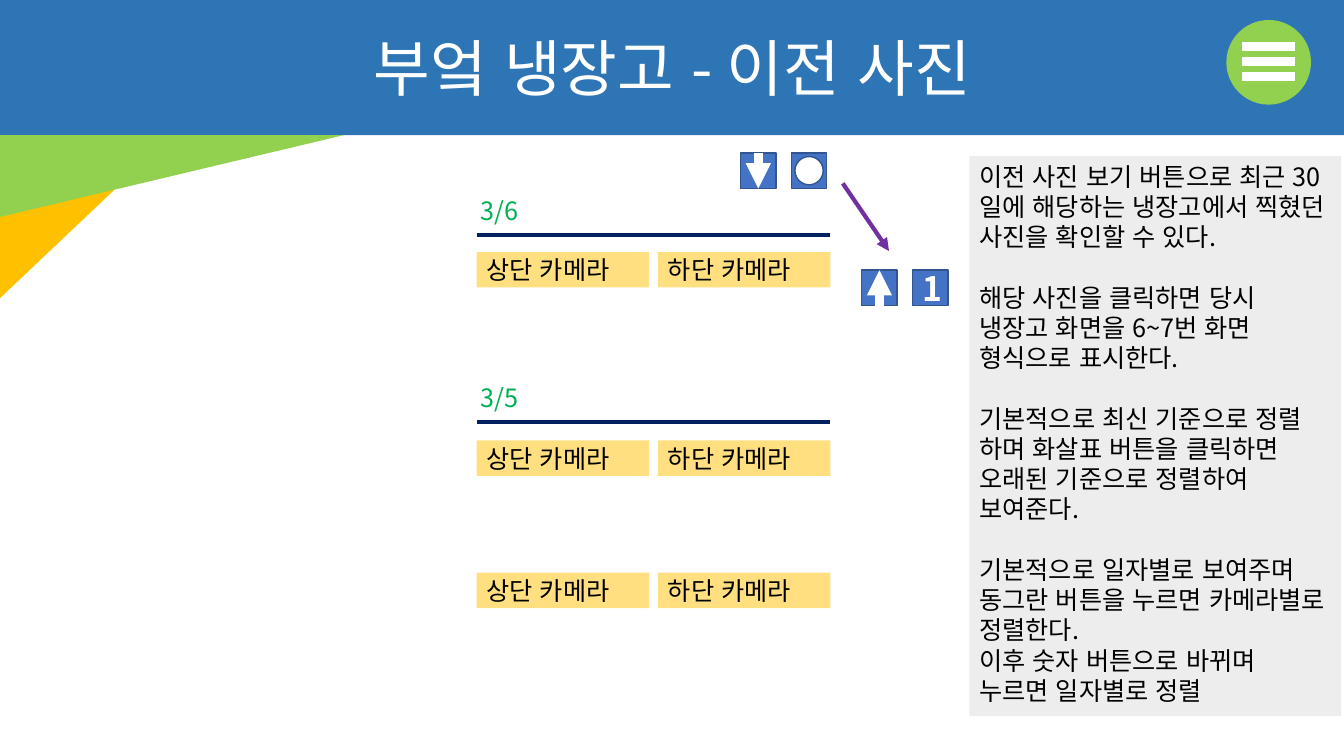
from lxml import etree
from pptx import Presentation
from pptx.dml.color import RGBColor
from pptx.enum.lang import MSO_LANGUAGE_ID
from pptx.enum.shapes import MSO_CONNECTOR, MSO_SHAPE
from pptx.enum.text import MSO_ANCHOR, PP_ALIGN
from pptx.oxml.ns import qn
from pptx.util import Pt

RECT, OVAL = MSO_SHAPE.RECTANGLE, MSO_SHAPE.OVAL
TRIANGLE, MINUS = MSO_SHAPE.RIGHT_TRIANGLE, MSO_SHAPE.MATH_MINUS
STRAIGHT = MSO_CONNECTOR.STRAIGHT
LEFT, CENTER = PP_ALIGN.LEFT, PP_ALIGN.CENTER
TOP, MIDDLE = MSO_ANCHOR.TOP, MSO_ANCHOR.MIDDLE
KOREAN = MSO_LANGUAGE_ID.KOREAN
TOP_SIDE, BOTTOM_SIDE = 0, 2

THEME = {
    "font": "Noto Sans CJK KR", "leading": 1.2,
    "title": 44, "body": 18, "digit": 24,
    "banner": "2E75B6", "orange": "FFC000", "green": "92D050",
    "white": "FFFFFF", "black": "000000", "panel": "EDEDED",
    "rule": "002060", "date": "00B050", "arrow": "7030A0",
    "button": "4472C4", "button_edge": "325491",
}

TITLE = "부엌 냉장고 - 이전 사진"
NOTES = [
    ["이전 사진 보기 버튼으로 최근 30일에 해당하는 냉장고에서 찍혔던 사진을 확인할 수 있다."],
    ["해당 사진을 클릭하면 당시 냉장고 화면을 6~7번 화면 형식으로 표시한다."],
    ["기본적으로 최신 기준으로 정렬 하며 화살표 버튼을 클릭하면 오래된 기준으로 정렬하여 보여준다."],
    ["기본적으로 일자별로 보여주며 동그란 버튼을 누르면 카메라별로 정렬한다.",
     "이후 숫자 버튼으로 바뀌며 누르면 일자별로 정렬"],
]
DATES = [("3/6", 167.6), ("3/5", 301.2)]
CAMERAS = ["상단 카메라", "하단 카메라"]
CAMERA_TOPS = [180, 314.6, 409]

LIST_LEFT, LIST_RIGHT = 340.5, 593.2
CAMERA_WIDTH, CAMERA_HEIGHT = 123.2, 25.3
CAMERA_STEP = LIST_RIGHT - LIST_LEFT - CAMERA_WIDTH
BUTTON, BUTTON_STEP = 25.4, 36.2
SORT_LEFT, SORT_TOP = 529, 109.2
RESULT_LEFT, RESULT_TOP = 615.5, 193


def color(name):
    return RGBColor.from_string(THEME[name])


def add_shape(page, kind, frame, fill, edge=None, alpha=None, flip=False):
    shape = page.shapes.add_shape(kind, *map(Pt, frame))
    shape.shadow.inherit = False
    shape.fill.solid()
    shape.fill.fore_color.rgb = color(fill)
    if alpha:
        tint = shape.fill._xPr.find(".//" + qn("a:srgbClr"))
        etree.SubElement(tint, qn("a:alpha"), val=str(alpha * 1000))
    if edge:
        shape.line.color.rgb = color(edge)
        shape.line.width = Pt(1)
    else:
        shape.line.fill.background()
    if flip:
        shape._element.spPr.find(qn("a:xfrm")).set("flipV", "1")
    return shape


def add_line(page, start, end, ink, width, head=False):
    line = page.shapes.add_connector(STRAIGHT, *map(Pt, (*start, *end)))
    line.line.color.rgb = color(ink)
    line.line.width = Pt(width)
    if head:
        etree.SubElement(line.line._get_or_add_ln(), qn("a:tailEnd"), type="triangle")
    etree.SubElement(line._element.spPr, qn("a:effectLst"))
    return line


def write(box, groups, size, ink, align=LEFT, anchor=TOP, bold=False):
    frame = box.text_frame
    frame.word_wrap = True
    frame.vertical_anchor = anchor
    leading = Pt(round(THEME[size] * THEME["leading"], 2))
    look = {"size": Pt(THEME[size]), "name": THEME["font"],
            "bold": bold, "language_id": KOREAN}
    para = None
    for group in groups:
        for index, text in enumerate(group):
            first = para is None
            para = frame.paragraphs[0] if first else frame.add_paragraph()
            para.alignment = align
            para.line_spacing = leading
            para.space_before = leading if index == 0 and not first else Pt(0)
            span = para.add_run()
            span.text = text
            for key, value in look.items():
                setattr(span.font, key, value)
            span.font.color.rgb = color(ink)
            latin = span.font._element.find(qn("a:latin"))
            east = etree.Element(qn("a:ea"), typeface=THEME["font"])
            latin.addnext(east)


def add_label(page, frame, text, size, ink, align=LEFT):
    box = page.shapes.add_textbox(*map(Pt, frame))
    write(box, [[text]], size, ink, align)


def add_button(page, left, top):
    return add_shape(page, RECT, (left, top, BUTTON, BUTTON), "button", "button_edge")


def add_arrow_button(page, left, top, begin, end):
    button = add_button(page, left, top)
    arrow = add_line(page, (left, top), (left, top + BUTTON), "white", 6, head=True)
    arrow.begin_connect(button, begin)
    arrow.end_connect(button, end)


def add_header(page):
    add_shape(page, RECT, (0, 0, 960, 96.5), "banner")
    add_shape(page, TRIANGLE, (0, 96.5, 123, 116.5), "orange", flip=True)
    add_shape(page, TRIANGLE, (0, 96.5, 246, 58.5), "green", flip=True)
    add_label(page, (229, 18, 502.5, 60.5), TITLE, "title", "white", CENTER)
    add_shape(page, OVAL, (876, 14.3, 60.5, 60.5), "green")
    for row in range(3):
        add_shape(page, MINUS, (880.6, 18.8 + row * 10.8, 51.3, 28.8), "white")


def add_photo_list(page):
    for date, top in DATES:
        add_line(page, (LIST_LEFT, top), (LIST_RIGHT, top), "rule", 3)
        add_label(page, (336.2, top - 32, 57.6, 29), date, "body", "date")
    for top in CAMERA_TOPS:
        for column, camera in enumerate(CAMERAS):
            frame = (LIST_LEFT + column * CAMERA_STEP, top, CAMERA_WIDTH, CAMERA_HEIGHT)
            box = add_shape(page, RECT, frame, "orange", alpha=50)
            write(box, [[camera]], "body", "black", anchor=MIDDLE)


def add_buttons(page):
    add_arrow_button(page, SORT_LEFT, SORT_TOP, TOP_SIDE, BOTTOM_SIDE)
    round_left = SORT_LEFT + BUTTON_STEP
    add_button(page, round_left, SORT_TOP)
    add_shape(page, OVAL, (round_left + 2.6, SORT_TOP + 2.6, 20.2, 20.2),
              "white", "button_edge")
    add_arrow_button(page, RESULT_LEFT, RESULT_TOP, BOTTOM_SIDE, TOP_SIDE)
    digit = add_button(page, RESULT_LEFT + BUTTON_STEP, RESULT_TOP)
    write(digit, [["1"]], "digit", "white", CENTER, MIDDLE, bold=True)
    add_line(page, (602, 131), (635, 179.3), "arrow", 3, head=True)


def main():
    deck = Presentation()
    deck.slide_width, deck.slide_height = Pt(960), Pt(540)
    page = deck.slides.add_slide(deck.slide_layouts[6])
    add_header(page)
    panel = add_shape(page, RECT, (692.5, 111.5, 265.5, 400), "panel")
    write(panel, NOTES, "body", "black")
    add_photo_list(page)
    add_buttons(page)
    deck.save("out.pptx")


if __name__ == "__main__":
    main()
